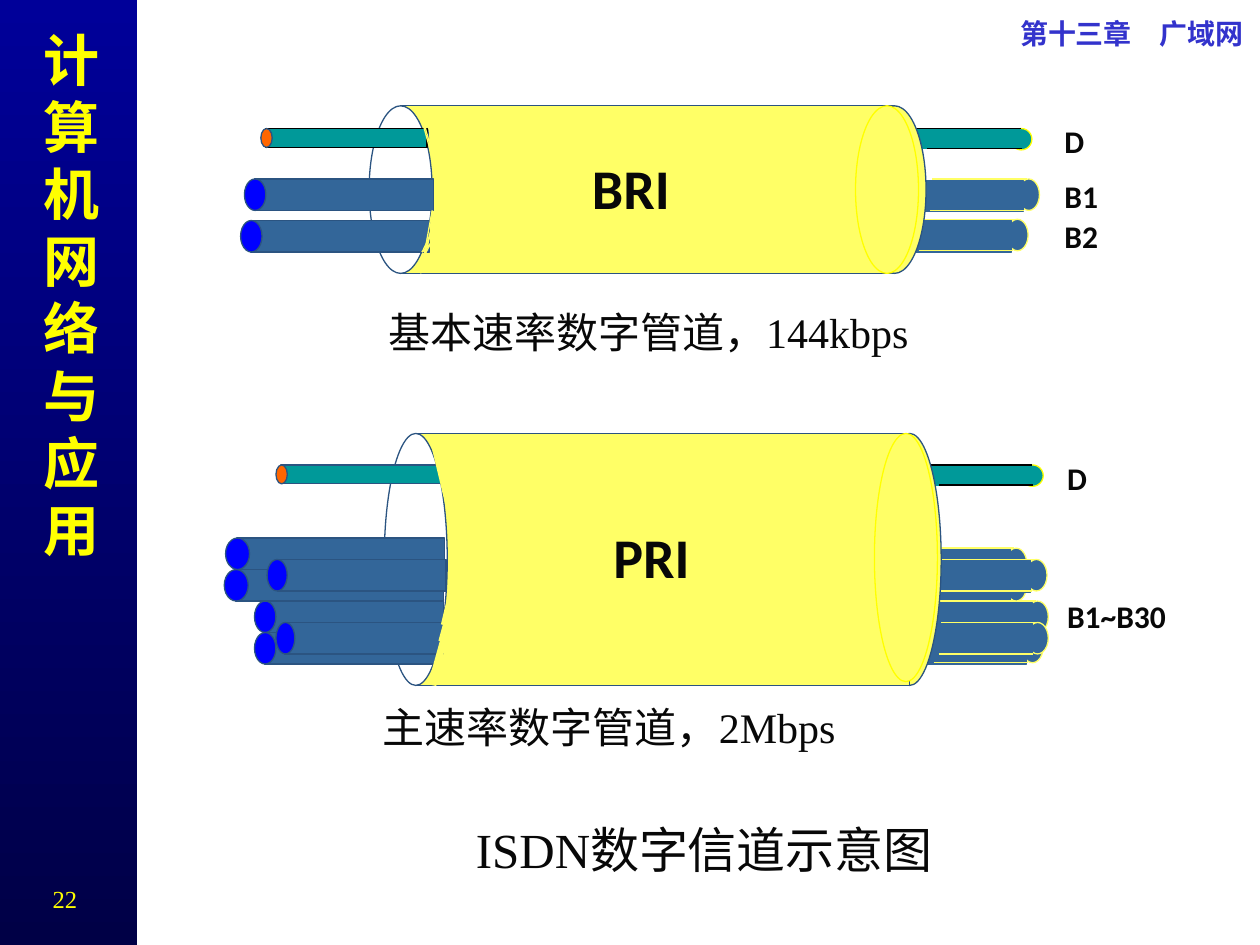
"""Build the slide on ISDN digital channels."""
import pptx
import pptx.dml.color
import pptx.enum.shapes
import pptx.enum.text
import pptx.oxml.ns
import pptx.util
from lxml import etree

PX = 9144
RECT = pptx.enum.shapes.MSO_SHAPE.RECTANGLE
OVAL = pptx.enum.shapes.MSO_SHAPE.OVAL
ALIGN = pptx.enum.text.PP_ALIGN
ANCHOR = pptx.enum.text.MSO_ANCHOR
YELLOW, PALE, EDGE = "FFFF00", "FFFF66", "2B5481"
TEAL, BLUE, BLACK, INK = "009999", "336699", "000000", "080808"
BIG = {"size": 32, "bold": True, "name": "Calibri"}
LABEL = {"size": 18, "bold": True, "name": "Calibri"}
CAPTION = {"size": 24, "name": "Times New Roman"}


def px(*lengths):
    """Turn px lengths into EMU."""
    return [pptx.util.Emu(length * PX) for length in lengths]


def color(value):
    """Return the colour for a hex string."""
    return pptx.dml.color.RGBColor.from_string(value)


def add_form(owner, kind, place, fill, line):
    """Add a filled preset shape with a thin outline."""
    form = owner.shapes.add_shape(kind, *px(*place))
    form.shadow.inherit = False
    form.fill.solid()
    form.fill.fore_color.rgb = color(fill)
    form.line.color.rgb = color(line)
    form.line.width = pptx.util.Pt(0.75)


def add_line(owner, x1, y1, x2, y2, line=PALE, width=0.75):
    """Add a straight line without a shadow."""
    straight = pptx.enum.shapes.MSO_CONNECTOR.STRAIGHT
    connector = owner.shapes.add_connector(straight, *px(x1, y1, x2, y2))
    connector.line.color.rgb = color(line)
    connector.line.width = pptx.util.Pt(width)
    properties = connector._element.spPr
    etree.SubElement(properties, pptx.oxml.ns.qn("a:effectLst"))


def add_text(owner, text, place, style, ink=INK, align=ALIGN.LEFT,
             anchor=ANCHOR.TOP, inset=(10, 5)):
    """Add a wrapped text box with one paragraph."""
    box = owner.shapes.add_textbox(*px(*place))
    side, edge = px(*inset)
    frame = {"word_wrap": True, "vertical_anchor": anchor,
             "margin_left": side, "margin_right": side,
             "margin_top": edge, "margin_bottom": edge}
    for name, value in frame.items():
        setattr(box.text_frame, name, value)
    para = box.text_frame.paragraphs[0]
    para.alignment = align
    span = para.add_run()
    span.text = text
    for name, value in style.items():
        setattr(span.font, name, pptx.util.Pt(value) if name == "size" else value)
    span.font.color.rgb = color(ink)


def add_sidebar(page):
    """Add the dark gradient band, the course name and the page header."""
    band = page.shapes.add_shape(RECT, *px(0, 0, 109, 750))
    band.shadow.inherit = False
    band.line.fill.background()
    band.fill.gradient()
    band.fill.gradient_angle = 270
    for stop, value in zip(band.fill.gradient_stops, ("000099", "000046")):
        stop.color.rgb = color(value)
    serif = {"name": "Times New Roman", "bold": True}
    add_text(page, "计算机网络与应用", (14, 15, 75, 437), {**serif, "size": 32},
             YELLOW, ALIGN.RIGHT)
    add_text(page, "第十三章　广域网", (753, 13, 234, 27), {**serif, "size": 16},
             "3333CC", ALIGN.RIGHT, inset=(0, 0))
    add_text(page, "22", (22, 697, 59, 34), {"name": "Times New Roman", "size": 14},
             YELLOW, ALIGN.CENTER)


def add_right_bearer(group, left, top, upper=True, lower=True):
    """Add a B channel that leaves the pipe, with its pale edges."""
    add_form(group, OVAL, (left + 138, top, 17, 25), BLUE, PALE)
    add_form(group, RECT, (left, top + 1, 142, 25), BLUE, BLUE)
    if lower:
        add_line(group, left + 68, top + 25, left + 143, top + 25)
    if upper:
        add_line(group, left + 70, top, left + 145, top)


def add_right_signal(group, left, top):
    """Add the D channel that leaves the pipe."""
    add_form(group, OVAL, (left + 121, top, 17, 17), TEAL, YELLOW)
    add_form(group, OVAL, (left + 127, top + 1, 2, 15), TEAL, TEAL)
    add_form(group, RECT, (left, top + 1, 128, 15), TEAL, TEAL)
    add_line(group, left + 55, top + 16, left + 130, top + 16, BLACK)
    add_line(group, left + 46, top, left + 129, top, BLACK)


def add_left_bearer(group, left, top, width=142, cap=17):
    """Add a B channel that enters the pipe, with its blue cap."""
    add_form(group, RECT, (left, top, width, 25), BLUE, EDGE)
    add_form(group, OVAL, (left - cap // 2, top, cap, 25), "0000FF", EDGE)


def add_left_signal(group, left, top, line):
    """Add the D channel that enters the pipe, with its orange cap."""
    add_form(group, OVAL, (left + 127, top, 2, 15), TEAL, EDGE)
    add_form(group, RECT, (left, top, 128, 15), TEAL, line)
    add_form(group, OVAL, (left - 4, top, 9, 15), "FF6600", EDGE)


def add_pipe(group, left, top, height):
    """Add the yellow pipe with its open left end."""
    add_form(group, RECT, (left, top, 392, height), PALE, EDGE)
    add_form(group, OVAL, (left - 25, top, 50, height), "FFFFFF", EDGE)


def add_basic_rate(page):
    """Add the basic rate pipe with two B channels."""
    group = page.shapes.add_group_shape()
    add_right_bearer(group, 661, 174)
    add_right_bearer(group, 670, 142)
    add_right_signal(group, 681, 102)
    add_pipe(group, 318, 84, 133)
    add_left_signal(group, 211, 102, BLACK)
    for left, top in ((202, 142), (199, 175)):
        add_left_bearer(group, left, top)
    for ends in ((343, 167, 334, 217), (343, 191, 334, 208), (343, 192, 335, 200),
                 (343, 184, 335, 200), (344, 175, 335, 209), (344, 192, 335, 200),
                 (335, 92, 344, 125), (334, 92, 343, 125), (344, 175, 336, 209)):
        add_line(group, *ends)
    add_text(group, "BRI", (460, 117, 117, 63), BIG)
    for text, top in (("D", 92), ("B1", 136), ("B2", 167)):
        add_text(group, text, (835, top, 67, 40), LABEL)
    add_text(group, "基本速率数字管道，144kbps", (256, 238, 517, 50), CAPTION,
             align=ALIGN.CENTER)
    add_form(group, OVAL, (685, 84, 50, 133), PALE, EDGE)
    add_form(group, OVAL, (679, 84, 50, 133), PALE, YELLOW)


def add_primary_rate(page):
    """Add the primary rate pipe with thirty B channels."""
    group = page.shapes.add_group_shape()
    add_right_bearer(group, 677, 477)
    add_right_bearer(group, 673, 501)
    add_right_bearer(group, 660, 435, lower=False)
    add_right_bearer(group, 660, 452, upper=False)
    add_right_bearer(group, 676, 444)
    add_right_bearer(group, 677, 494)
    add_right_signal(group, 690, 369)
    add_form(group, OVAL, (697, 344, 50, 200), PALE, EDGE)
    add_pipe(group, 330, 344, 200)
    add_left_signal(group, 223, 369, EDGE)
    for top in (477, 502):
        add_left_bearer(group, 210, top)
    for ends in ((354, 494, 346, 544), (354, 518, 346, 535), (355, 510, 347, 527),
                 (355, 502, 347, 535), (355, 519, 347, 527), (385, 410, 394, 444),
                 (377, 385, 385, 419), (356, 502, 348, 535)):
        add_line(group, *ends)
    add_line(group, 344, 352, 360, 419, width=3)
    for strand in ((187, 452, 165, 19), (188, 427, 165, 19),
                   (226, 494, 126, 15), (220, 444, 134, 16)):
        add_left_bearer(group, *strand)
    for ends in ((344, 535, 360, 477), (352, 510, 344, 544), (359, 476, 350, 509),
                 (360, 462, 352, 496), (357, 507, 349, 540), (350, 360, 359, 402)):
        add_line(group, *ends, width=3)
    add_text(group, "PRI", (477, 410, 117, 63), BIG)
    for text, top in (("D", 359), ("B1~B30", 469)):
        add_text(group, text, (837, top, 125, 40), LABEL)
    add_text(group, "主速率数字管道，2Mbps", (294, 552, 425, 50), CAPTION)
    add_form(group, OVAL, (694, 344, 50, 197), PALE, YELLOW)


def main():
    """Build the deck and save it."""
    deck = pptx.Presentation()
    deck.slide_width, deck.slide_height = px(1000, 750)
    page = deck.slides.add_slide(deck.slide_layouts[6])
    add_sidebar(page)
    add_text(page, "ISDN数字信道示意图", (358, 643, 402, 61),
             {"size": 28, "name": "Times New Roman"},
             align=ALIGN.CENTER, anchor=ANCHOR.MIDDLE)
    add_basic_rate(page)
    add_primary_rate(page)
    deck.save("out.pptx")


if __name__ == "__main__":
    main()
